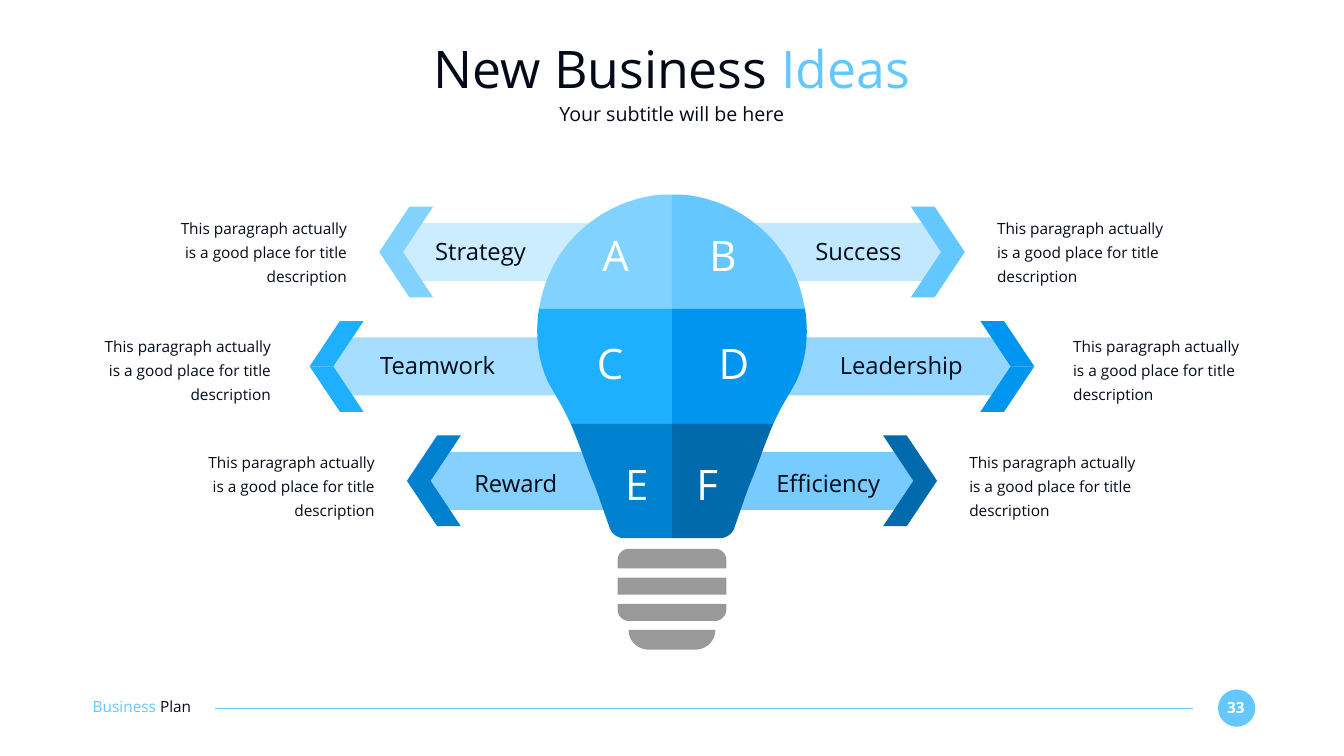
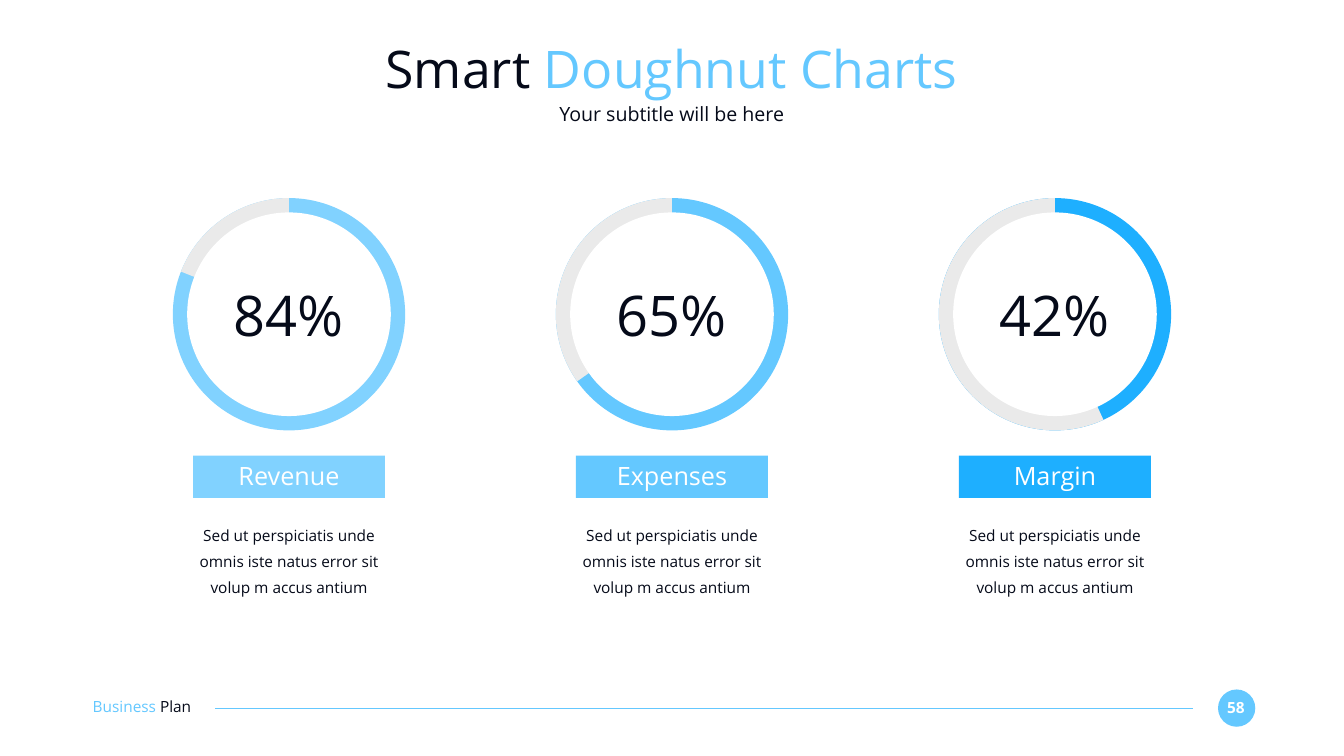
from lxml.etree import SubElement
from pptx import Presentation
from pptx.dml.color import RGBColor
from pptx.enum.shapes import MSO_CONNECTOR, MSO_SHAPE
from pptx.enum.text import PP_ALIGN
from pptx.oxml.ns import qn
from pptx.util import Inches, Pt

FONT = "Open Sans"
INK, SKY, WHITE, TRACK, GREY = "050A19", "64C8FF", "FFFFFF", "EAEAEA", "999999"
PALE, BRIGHT, AZURE, DEEP, NAVY = "81D2FF", "1EAFFF", "0096F0", "0081D0", "006AAC"
CENTER = 13.335


def rgb(value):
    return RGBColor.from_string(value)


def bezier(start, control1, control2, end, steps=24):
    points = []
    for step in range(steps + 1):
        t = step / steps
        weights = ((1 - t) ** 3, 3 * t * (1 - t) ** 2, 3 * t * t * (1 - t), t ** 3)
        anchors = (start, control1, control2, end)
        points.append(tuple(sum(w * a[axis] for w, a in zip(weights, anchors)) for axis in (0, 1)))
    return points


def beside_center(points, side):
    return [(CENTER + side * dx, y) for dx, y in points]


class Deck:
    def __init__(self):
        self.presentation = Presentation()
        self.presentation.slide_width = Inches(26.67)
        self.presentation.slide_height = Inches(15)
        self.slide = None

    def paint(self, shape, color):
        shape.shadow.inherit = False
        shape.fill.solid()
        shape.fill.fore_color.rgb = rgb(color)
        shape.line.fill.background()

    def shape(self, kind, left, top, width, height, color):
        shape = self.slide.shapes.add_shape(
            kind, Inches(left), Inches(top), Inches(width), Inches(height))
        self.paint(shape, color)
        return shape

    def outline(self, contours, color):
        builder = None
        for contour in contours:
            first, *rest = [(Inches(x), Inches(y)) for x, y in contour]
            if builder is None:
                builder = self.slide.shapes.build_freeform(*first)
            else:
                builder.move_to(*first)
            builder.add_line_segments(rest, close=True)
        self.paint(builder.convert_to_shape(), color)

    def text(self, left, top, width, height, parts, size,
             align=PP_ALIGN.CENTER, spacing=None, bold=None):
        frame = self.slide.shapes.add_textbox(
            Inches(left), Inches(top), Inches(width), Inches(height)).text_frame
        frame.word_wrap = True
        frame.margin_left = frame.margin_right = frame.margin_top = frame.margin_bottom = 0
        paragraph = frame.paragraphs[0]
        paragraph.alignment = align
        paragraph.line_spacing = spacing
        paragraph.font.name = FONT
        paragraph.font.size = Pt(size)
        paragraph.font.bold = bold
        for words, color in parts:
            run = paragraph.add_run()
            run.text = words
            if len(parts) > 1:
                run.font.color.rgb = rgb(color)
            else:
                paragraph.font.color.rgb = rgb(color)

    def line(self, x1, y1, x2, y2, color, width):
        connector = self.slide.shapes.add_connector(
            MSO_CONNECTOR.STRAIGHT, Inches(x1), Inches(y1), Inches(x2), Inches(y2))
        connector.line.color.rgb = rgb(color)
        connector.line.width = Pt(width)
        SubElement(connector._element.spPr, qn("a:effectLst"))

    def new_slide(self, title_parts, number):
        self.slide = self.presentation.slides.add_slide(self.presentation.slide_layouts[6])
        self.slide.background.fill.solid()
        self.slide.background.fill.fore_color.rgb = rgb(WHITE)
        self.shape(MSO_SHAPE.OVAL, 24.17, 13.68, 0.74, 0.74, SKY)
        self.text(24.23, 13.85, 0.59, 0.37, [(number, WHITE)], 22, bold=True)
        self.line(23.67, 14.05, 4.27, 14.05, SKY, 1.5)
        self.text(1.84, 13.84, 2.59, 0.37, [("Business ", SKY), ("Plan", INK)], 22, PP_ALIGN.LEFT)
        self.text(1.83, 0.73, 23, 1.27, title_parts, 74)
        self.text(1.83, 2.03, 23, 0.49, [("Your subtitle will be here", INK)], 28)

    def band(self, side, inner, tip, y, color):
        end = tip - 0.4
        half = [(inner, y - 0.575), (end - 0.35, y - 0.575), (end, y),
                (end - 0.35, y + 0.575), (inner, y + 0.575)]
        self.outline([beside_center(half, side)], color)

    def arrowhead(self, side, tip, y, color):
        for rise in (-0.9, 0.9):
            half = [(tip, y), (tip - 0.47, y), (tip - 1.07, y + rise), (tip - 0.6, y + rise)]
            self.outline([beside_center(half, side)], color)

    def bulb_base(self):
        stripes = [
            bezier((0.86, 10.89), (0.98, 10.89), (1.08, 10.99), (1.08, 11.12)) + [(1.08, 11.28)],
            [(1.08, 11.46), (1.08, 11.8)],
            [(1.08, 11.98)] + bezier((1.08, 12.09), (1.08, 12.21), (0.98, 12.32), (0.86, 12.32)),
            bezier((0.86, 12.5), (0.86, 12.72), (0.68, 12.89), (0.46, 12.89)),
        ]
        self.outline([beside_center(edge, 1) + beside_center(edge[::-1], -1)
                      for edge in stripes], GREY)

    def doughnut(self, center, color, gap_start, percent):
        for kind, diameter, fill in ((MSO_SHAPE.OVAL, 4.61, color),
                                     (MSO_SHAPE.PIE, 4.61, TRACK),
                                     (MSO_SHAPE.OVAL, 4.04, WHITE)):
            disc = self.shape(kind, center - diameter / 2, 6.235 - diameter / 2,
                              diameter, diameter, fill)
            if kind == MSO_SHAPE.PIE:
                disc.adjustments[0] = gap_start
                disc.adjustments[1] = 162
        self.text(center - 1.19, 5.56, 2.38, 1.35, [(percent, INK)], 80)


BULB_EDGES = [
    [(0, 6.13), (0, 3.86)]
    + bezier((0.19, 3.86), (1.34, 3.95), (2.33, 4.78), (2.59, 5.9)) + [(2.64, 6.13)],
    [(0, 8.41), (0, 6.13)]
    + bezier((2.64, 6.13), (2.72, 6.65), (2.66, 7.15), (2.46, 7.58))
    + [(2.15, 8.12), (2.01, 8.41)],
    [(0, 10.68), (0, 8.41)]
    + bezier((2.01, 8.41), (1.83, 8.83), (1.64, 9.4), (1.55, 9.59))
    + bezier((1.55, 9.59), (1.48, 9.77), (1.34, 10.18), (1.24, 10.47))
    + bezier((1.24, 10.47), (1.2, 10.59), (1.08, 10.68), (0.94, 10.68)),
]
ROWS = [
    dict(y=5, inner=0.635, tip=5.81, note=6.45, note_y=4.23, label_y=4.7, letter_y=4.55),
    dict(y=7.27, inner=0.635, tip=7.19, note=7.96, note_y=6.58, label_y=6.95, letter_y=6.69),
    dict(y=9.54, inner=0.085, tip=5.26, note=5.9, note_y=8.88, label_y=9.3, letter_y=9.09),
]
IDEAS = [
    (0, -1, "A", -1.12, "Strategy", -3.8, PALE, "CCECFF"),
    (0, 1, "B", 1.01, "Success", 3.7, SKY, "C1E8FF"),
    (1, -1, "C", -1.23, "Teamwork", -4.65, BRIGHT, "A5DEFF"),
    (1, 1, "D", 1.23, "Leadership", 4.55, AZURE, "93D6FF"),
    (2, -1, "E", -0.7, "Reward", -3.1, DEEP, "86D0FF"),
    (2, 1, "F", 0.7, "Efficiency", 3.1, NAVY, "77CBFF"),
]
NOTE = "This paragraph actually is a good place for title description"


def ideas_slide(deck):
    deck.new_slide([("New Business ", INK), ("Ideas", SKY)], "33")
    for index, side, *_, tint in IDEAS:
        row = ROWS[index]
        deck.band(side, row["inner"], row["tip"], row["y"], tint)
    for index, side, *_, color, _tint in IDEAS:
        deck.outline([beside_center(BULB_EDGES[index], side)], color)
    deck.bulb_base()
    for index, side, letter, letter_dx, label, label_dx, color, _ in IDEAS:
        row = ROWS[index]
        note_left = CENTER + row["note"] if side > 0 else CENTER - row["note"] - 3.54
        note_align = PP_ALIGN.LEFT if side > 0 else PP_ALIGN.RIGHT
        deck.text(note_left, row["note_y"], 3.54, 1.44, [(NOTE, INK)], 22, note_align, 1.3)
        deck.text(CENTER + letter_dx - 0.535, row["letter_y"], 1.07, 1.01, [(letter, WHITE)], 60)
        label_width = 3.7 if index == 1 else 2.68
        deck.text(CENTER + label_dx - label_width / 2, row["label_y"], label_width, 0.57,
                  [(label, INK)], 34)
        deck.arrowhead(side, row["tip"], row["y"], color)


def doughnuts_slide(deck):
    deck.new_slide([("Smart ", INK), ("Doughnut Charts", SKY)], "58")
    measures = [("Revenue", "84%", PALE, 120.92), ("Expenses", "65%", SKY, 86.83),
                ("Margin", "42%", BRIGHT, 39.2)]
    for column, (name, percent, color, gap_start) in enumerate(measures):
        center = CENTER + (column - 1) * 7.6
        deck.doughnut(center, color, gap_start, percent)
        deck.shape(MSO_SHAPE.RECTANGLE, center - 1.905, 9.04, 3.81, 0.84, color)
        deck.text(center - 1.55, 9.13, 3.1, 0.61, [(name, WHITE)], 36)
        deck.text(center - 2.155, 10.29, 4.31, 1.56,
                  [("Sed ut perspiciatis unde omnis iste natus error sit volup m accus antium", INK)],
                  22, spacing=1.4)


def main():
    deck = Deck()
    ideas_slide(deck)
    doughnuts_slide(deck)
    deck.presentation.save("out.pptx")


if __name__ == "__main__":
    main()
